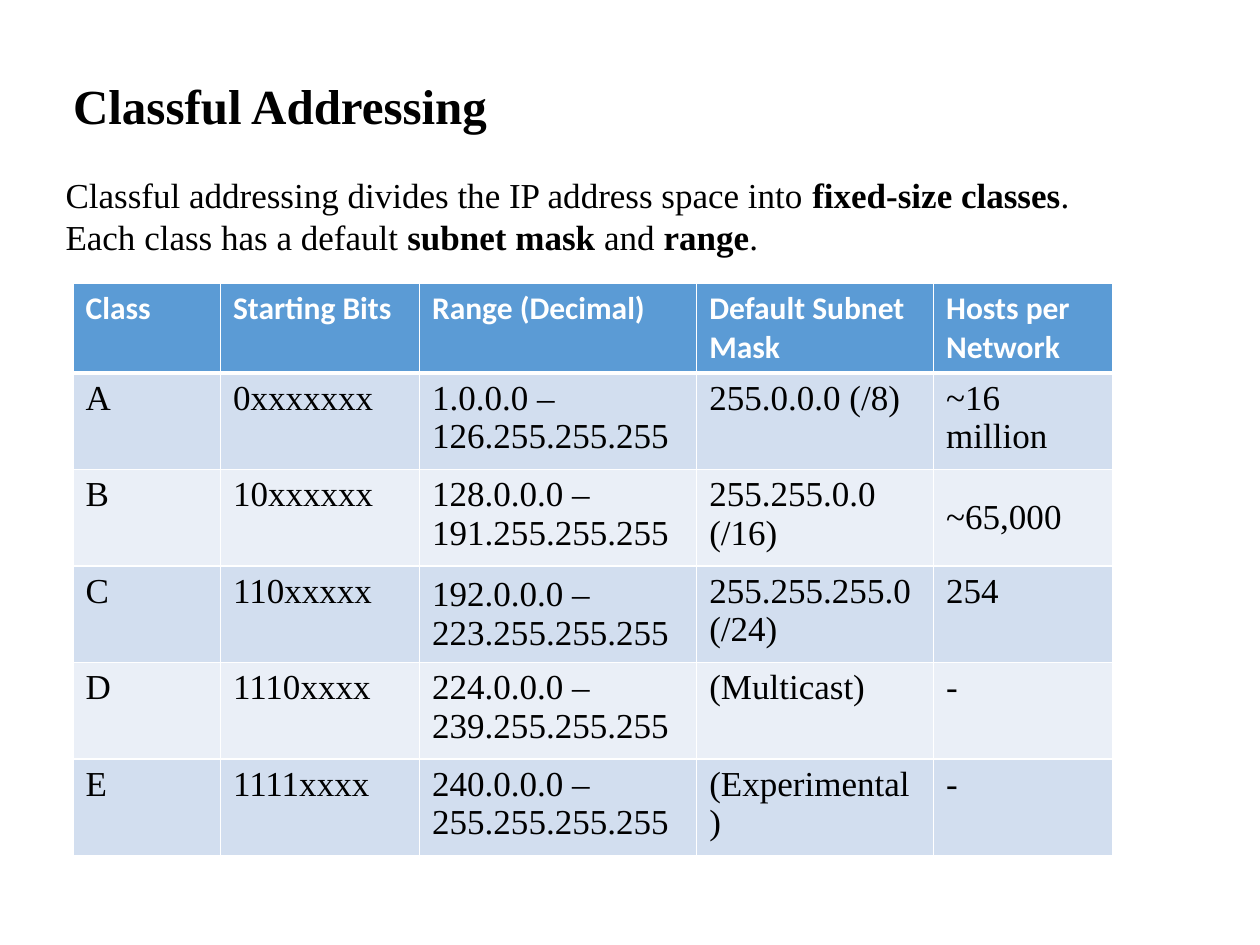
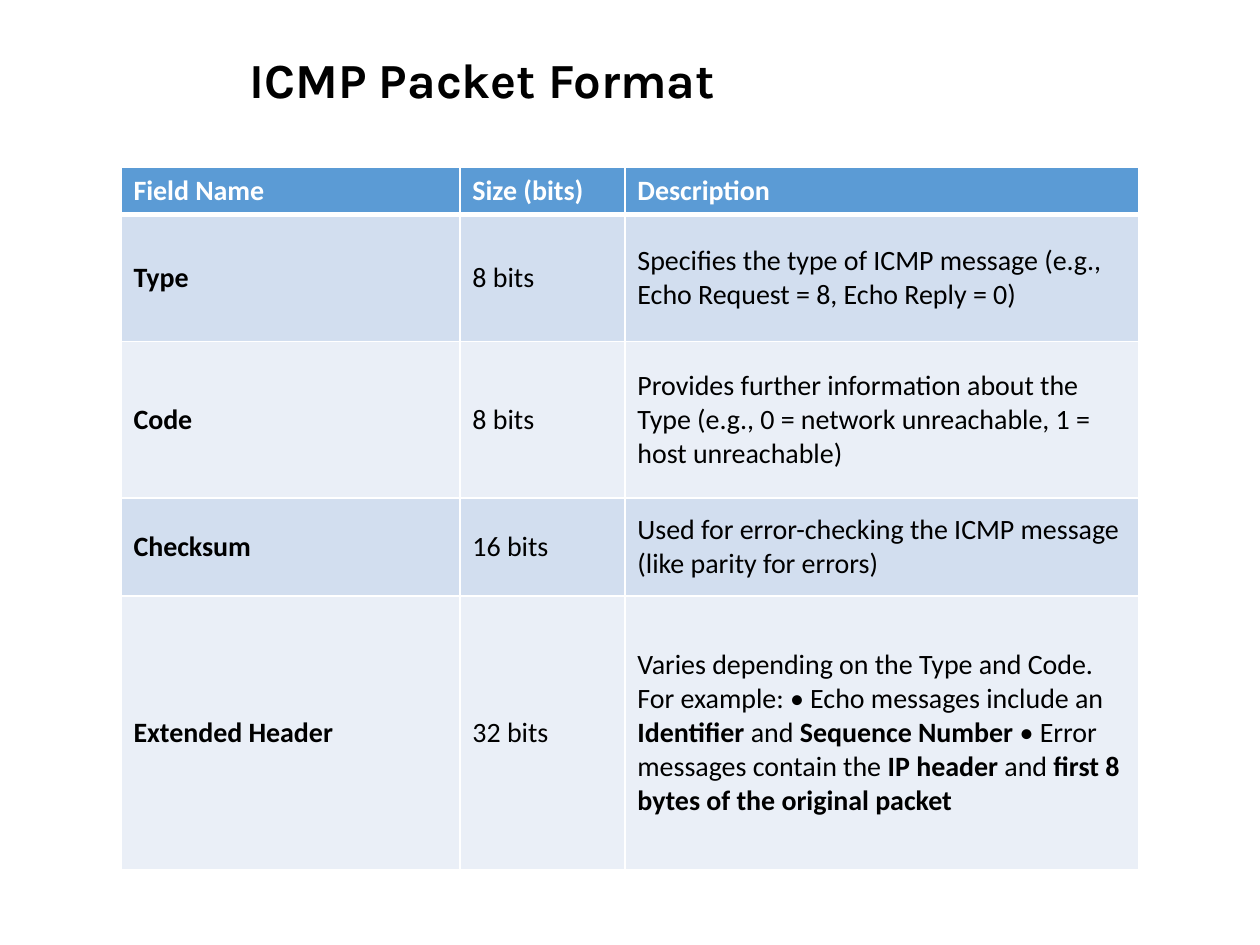
from dataclasses import dataclass
from lxml.etree import SubElement as Sub
from pptx import Presentation
from pptx.dml.color import RGBColor as RGB
from pptx.enum.text import MSO_ANCHOR as Anchor, MSO_AUTO_SIZE as Auto, PP_ALIGN as Align
from pptx.oxml.ns import qn
from pptx.util import Inches, Pt


@dataclass(frozen=True)
class Theme:
    ink: str = "000000"
    white: str = "FFFFFF"
    head: str = "5B9BD5"
    bands: tuple = ("D2DEEF", "EAEFF7")
    serif: str = "Times New Roman"
    sans: str = "Calibri"
    display: str = "Karla"
    title: int = 28
    body: int = 20
    label: int = 18
    small: int = 16


T = Theme()

# Content: ** switches bold on and off
INTRO = ("Classful addressing divides the IP address space into **fixed-size classes**. "
         "Each class has a default **subnet mask** and **range**.")
CLASSES = [
    ("Class", "Starting Bits", "Range (Decimal)", "Default Subnet Mask", "Hosts per Network"),
    ("A", "0xxxxxxx", "1.0.0.0 – 126.255.255.255", "255.0.0.0 (/8)", "~16 million"),
    ("B", "10xxxxxx", "128.0.0.0 – 191.255.255.255", "255.255.0.0 (/16)", "~65,000"),
    ("C", "110xxxxx", "192.0.0.0 – 223.255.255.255", "255.255.255.0 (/24)", "254"),
    ("D", "1110xxxx", "224.0.0.0 – 239.255.255.255", "(Multicast)", "-"),
    ("E", "1111xxxx", "240.0.0.0 – 255.255.255.255", "(Experimental)", "-"),
]
FIELDS = [
    ("Field Name", "Size (bits)", "Description"),
    ("**Type**", "8 bits",
     "Specifies the type of ICMP message (e.g., Echo Request = 8, Echo Reply = 0)"),
    ("**Code**", "8 bits",
     "Provides further information about the Type "
     "(e.g., 0 = network unreachable, 1 = host unreachable)"),
    ("**Checksum**", "16 bits",
     "Used for error-checking the ICMP message (like parity for errors)"),
    ("**Extended Header**", "32 bits",
     "Varies depending on the Type and Code. For example: • Echo messages include an "
     "**Identifier** and **Sequence Number** • Error messages contain the "
     "**IP header** and **first 8 bytes of the original packet**"),
]


def write(frame, text, font=T.sans, size=T.body, color=T.ink, bold=False, pitch=None):
    """Fill a frame with one paragraph of plain and bold runs."""
    para = frame.paragraphs[0]
    para.alignment = Align.LEFT
    para.space_before = Pt(0)
    if pitch:
        para.line_spacing = Pt(pitch)
    for i, part in enumerate(text.split("**")):
        if part:
            run = para.add_run()
            run.text = part
            run.font.name, run.font.size = font, Pt(size)
            run.font.color.rgb = RGB.from_string(color)
            run.font.bold = bold or i % 2 == 1


def place(shape, box, pad):
    """Move a placeholder and set its left, top, right and bottom insets."""
    shape.left, shape.top, shape.width, shape.height = map(Inches, box)
    frame = shape.text_frame
    frame.word_wrap, frame.auto_size = True, Auto.NONE
    frame.vertical_anchor = Anchor.TOP
    (frame.margin_left, frame.margin_top,
     frame.margin_right, frame.margin_bottom) = map(Inches, pad)
    return frame


def title(slide, text, box, pad, font):
    write(place(slide.shapes.title, box, pad), text, font=font, size=T.title, bold=True)


def border(cell, base):
    props = cell._tc.get_or_add_tcPr()
    for side, width in (("L", 1), ("R", 1), ("T", 1), ("B", base)):
        line = Sub(props, qn(f"a:ln{side}"), w=str(Pt(width)))
        Sub(Sub(line, qn("a:solidFill")), qn("a:srgbClr"), val=T.white)


def grid(slide, data, spot, cols, rows, head, body, middle):
    """Draw a banded table; middle says which cells are centred vertically."""
    size = sum(cols), sum(rows)
    table = slide.shapes.add_table(len(rows), len(cols), *map(Inches, spot + size)).table
    for col, width in zip(table.columns, cols):
        col.width = Inches(width)
    for r, (row, high) in enumerate(zip(data, rows)):
        table.rows[r].height = Inches(high)
        for c, text in enumerate(row):
            cell = table.cell(r, c)
            border(cell, 1 if r else 3)
            cell.fill.solid()
            cell.fill.fore_color.rgb = RGB.from_string(T.bands[(r - 1) % 2] if r else T.head)
            cell.vertical_anchor = Anchor.MIDDLE if middle(r, c) else Anchor.TOP
            write(cell.text_frame, text, **(body if r else head))


def label(size):
    return dict(size=size, color=T.white, bold=True)


def classful(deck):
    slide = deck.slides.add_slide(deck.slide_layouts[1])
    title(slide, "Classful Addressing", (0.58, 0.55, 9.16, 0.47), (0, 0.05, 0, 0), T.serif)

    # Introduction without a bullet
    frame = place(slide.placeholders[1], (0.42, 1.33, 8.75, 0.77), (0.1, 0.05, 0.1, 0.05))
    props = frame.paragraphs[0]._p.get_or_add_pPr()
    props.set("marL", "0")
    props.set("indent", "0")
    Sub(props, qn("a:buNone"))
    write(frame, INTRO, font=T.serif, pitch=24)

    # Address classes: a header and equal rows
    top, full = 0.7, 4.53
    count = len(CLASSES) - 1
    grid(slide, CLASSES, (0.58, 2.25), (1.17, 1.58, 2.2, 1.88, 1.42),
         [top] + [(full - top) / count] * count, label(T.label),
         dict(font=T.serif, pitch=22), lambda r, c: (r, c) in {(2, 4), (3, 2)})


def packet(deck):
    slide = deck.slides.add_slide(deck.slide_layouts[5])
    title(slide, "ICMP Packet Format", (1.67, 0.02, 4.25, 1.14), (0.31, 0.37, 0, 0), T.display)
    grid(slide, FIELDS, (0.96, 1.33), (2.69, 1.31, 4.08), (0.37, 1.01, 1.24, 0.78, 2.17),
         label(T.small), dict(size=T.small), lambda r, c: True)


def main():
    deck = Presentation()
    deck.slide_width, deck.slide_height = Inches(10), Inches(7.5)
    classful(deck)
    packet(deck)
    deck.save("out.pptx")


if __name__ == "__main__":
    main()
